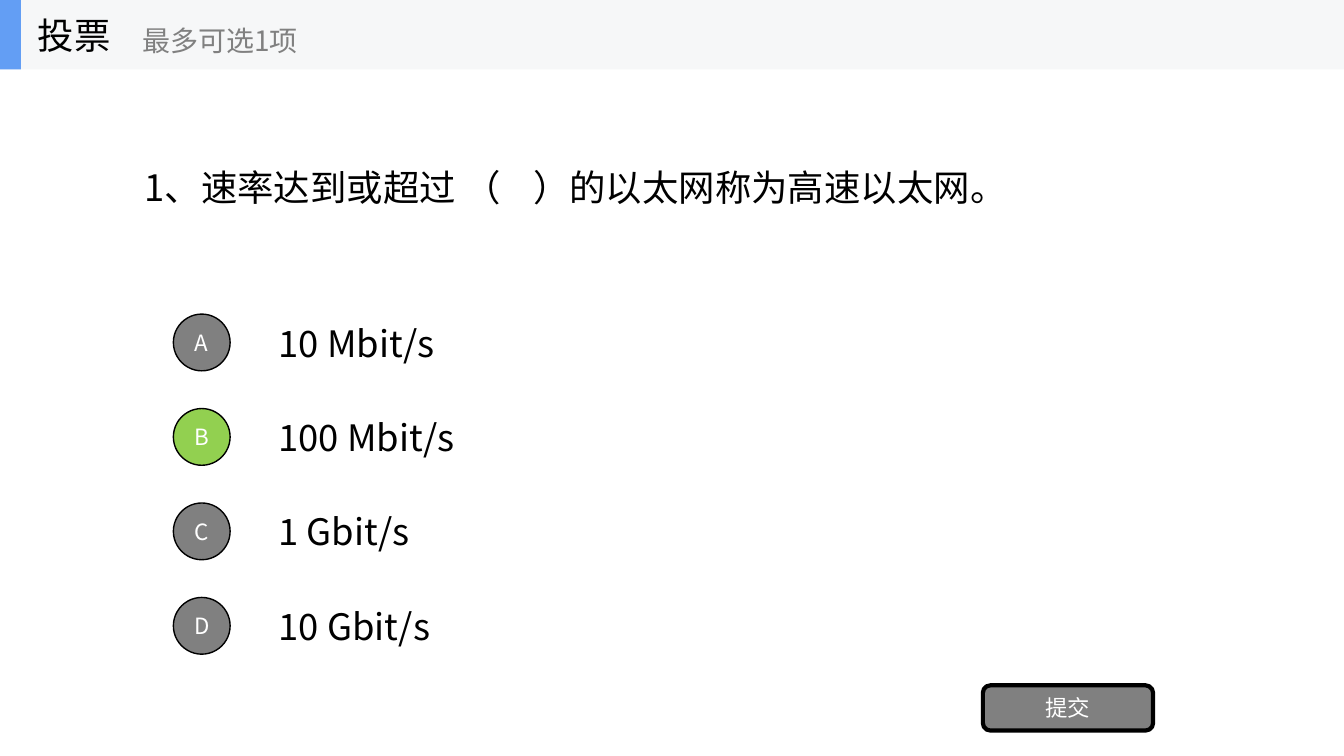
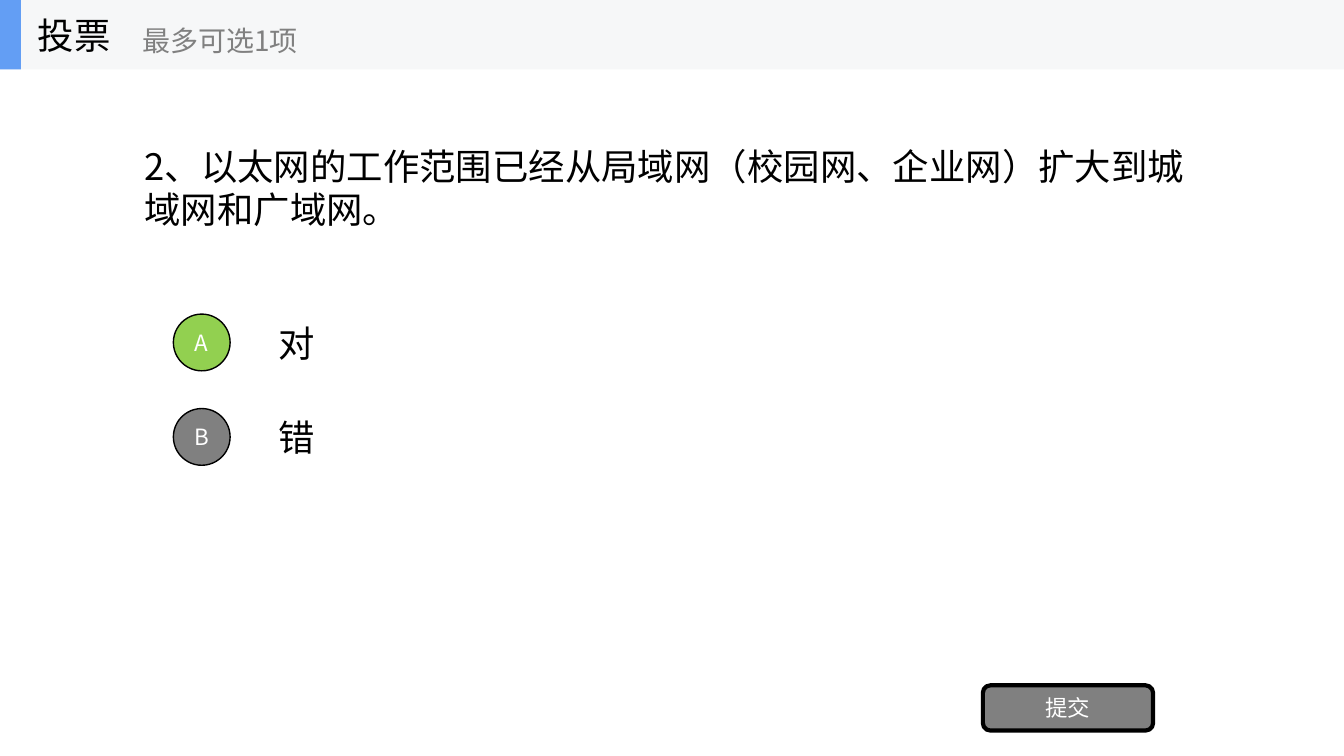
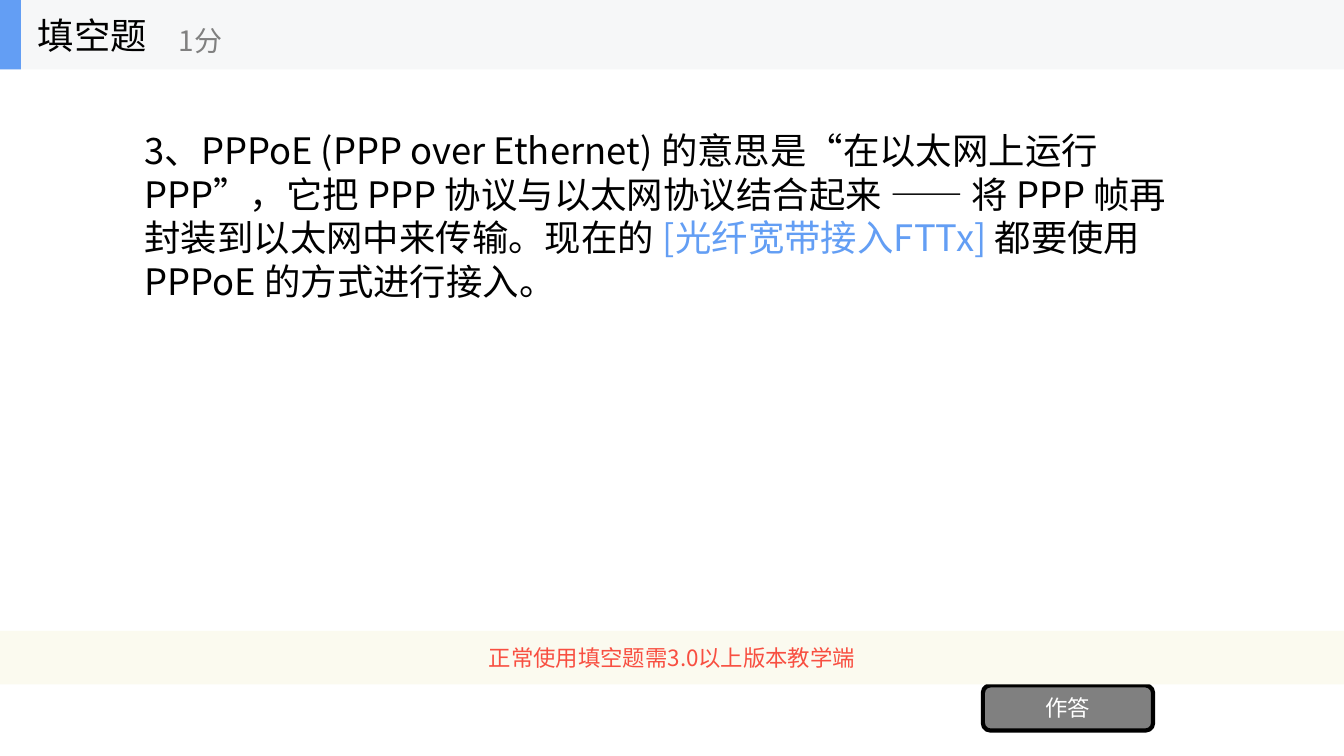
import pptx
import pptx.util
import pptx.dml.color
import pptx.enum.shapes
import pptx.enum.text
import pptx.oxml.ns
import lxml.etree

Cm, Pt = pptx.util.Cm, pptx.util.Pt
SHAPE = pptx.enum.shapes.MSO_SHAPE
ALIGN = pptx.enum.text.PP_ALIGN

# Shared look
FONT = "Noto Sans CJK SC"
BLACK, WHITE, GREY = "000000", "FFFFFF", "808080"
BLUE, GREEN, BAND = "639EF4", "92D050", "F6F7F8"
NOTICE_FILL, NOTICE_TEXT = "FBFAEF", "F84F41"
WIDTH, HEIGHT, BAND_H = 33.87, 19.05, 1.75
ROW_TOP, ROW_H, ROW_STEP, CIRCLE = 7.74, 1.78, 2.38, 1.43


def rgb(hex_color):
    return pptx.dml.color.RGBColor.from_string(hex_color)


def box(shapes, text, x, y, w, h, *, shape=None, fill=None, line=None,
        size=26, color=BLACK, align=ALIGN.LEFT, inset=0.25):
    """Add a text box or a filled shape; text is a string or (text, colour) runs."""
    area = Cm(x), Cm(y), Cm(w), Cm(h)
    if shape is None:
        sp = shapes.add_textbox(*area)
    else:
        sp = shapes.add_shape(shape, *area)
        sp.shadow.inherit = False
        sp.fill.solid()
        sp.fill.fore_color.rgb = rgb(fill)
        if line:
            sp.line.color.rgb = rgb(BLACK)
            sp.line.width = Pt(line)
        else:
            sp.line.fill.background()
    if not text:
        return
    tf = sp.text_frame
    tf.word_wrap = True
    tf.vertical_anchor = pptx.enum.text.MSO_ANCHOR.MIDDLE
    tf.margin_left = tf.margin_right = Cm(inset)
    p = tf.paragraphs[0]
    p.alignment = align
    for run_text, run_color in [(text, color)] if isinstance(text, str) else text:
        r = p.add_run()
        r.text = run_text
        r.font.size = Pt(size)
        r.font.name = FONT
        r.font.color.rgb = rgb(run_color)
        ea = lxml.etree.SubElement(r.font._element, pptx.oxml.ns.qn("a:ea"))
        ea.set("typeface", FONT)


# Slide content
slides = [
    dict(title="投票", hint="最多可选1项", hint_x=3.33, top=1.75, button="提交",
         question="1、速率达到或超过 （    ）的以太网称为高速以太网。",
         options=["10 Mbit/s", "100 Mbit/s", "1 Gbit/s", "10 Gbit/s"], answer="B"),
    dict(title="投票", hint="最多可选1项", hint_x=3.33, top=1.75, button="提交",
         question="2、以太网的工作范围已经从局域网（校园网、企业网）扩大到城域网和广域网。",
         options=["对", "错"], answer="A"),
    dict(title="填空题", hint="1分", hint_x=4.25, top=2.46, button="作答",
         question=[
             ("3、PPPoE (PPP over Ethernet) 的意思是“在以太网上运行 PPP”，"
              "它把 PPP 协议与以太网协议结合起来 —— 将 PPP 帧再封装到"
              "以太网中来传输。现在的 ", BLACK),
             ("[光纤宽带接入FTTx]", BLUE),
             (" 都要使用 PPPoE 的方式进行接入。", BLACK)],
         options=[], notice="正常使用填空题需3.0以上版本教学端"),
]

prs = pptx.Presentation()
prs.slide_width, prs.slide_height = Cm(WIDTH), Cm(HEIGHT)

for data in slides:
    s = prs.slides.add_slide(prs.slide_layouts[6])

    # Question
    box(s.shapes, data["question"], 3.39, data["top"], 27.09, 5.94)

    # Options with lettered circles
    for i, (letter, option) in enumerate(zip("ABCD", data["options"])):
        y = ROW_TOP + i * ROW_STEP
        box(s.shapes, option, 6.77, y, 23.71, ROW_H)
        box(s.shapes, letter, 4.37, y + (ROW_H - CIRCLE) / 2, CIRCLE, CIRCLE,
            shape=SHAPE.OVAL, fill=GREEN if letter == data["answer"] else GREY,
            line=1, size=16, color=WHITE, align=ALIGN.CENTER, inset=0)

    # Button
    box(s.shapes, data["button"], 24.77, 17.27, 4.29, 1.14,
        shape=SHAPE.ROUNDED_RECTANGLE, fill=GREY, line=3,
        size=16, color=WHITE, align=ALIGN.CENTER)

    # Version notice
    if "notice" in data:
        box(s.shapes, data["notice"], 0, 15.9, WIDTH, 1.35, shape=SHAPE.RECTANGLE,
            fill=NOTICE_FILL, size=16, color=NOTICE_TEXT, align=ALIGN.CENTER)

    # Header band
    header = s.shapes.add_group_shape().shapes
    box(header, "", 0, 0, WIDTH, BAND_H, shape=SHAPE.RECTANGLE, fill=BAND)
    box(header, "", 0, 0, 0.53, BAND_H, shape=SHAPE.RECTANGLE, fill=BLUE)
    box(header, data["title"], 0.7, 0, 5.28, BAND_H)
    box(header, data["hint"], data["hint_x"], 0.31, 6.35, 1.42, size=20, color=GREY)

prs.save("out.pptx")
